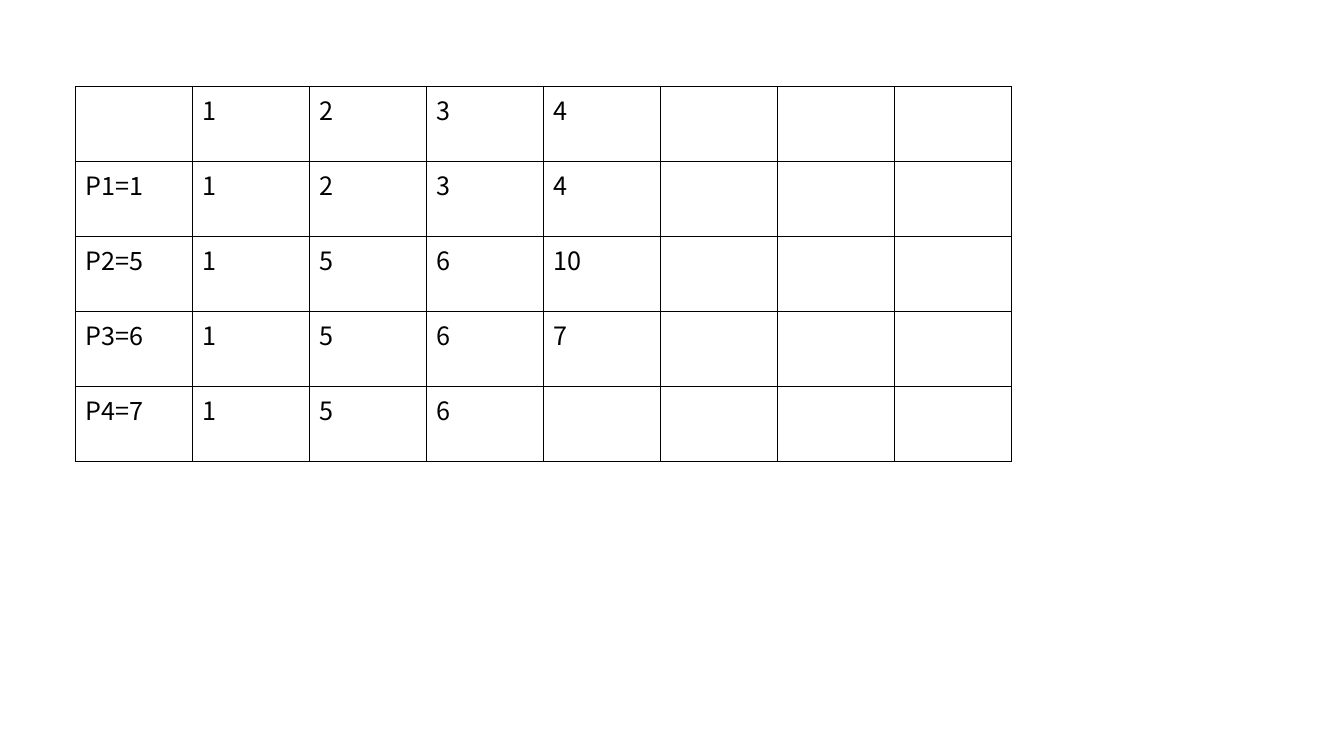
import pptx
import pptx.util
import pptx.dml.color
import pptx.oxml.ns
import lxml.etree

Cm = pptx.util.Cm


def color(value):
    return pptx.dml.color.RGBColor.from_string(value)


class Page:
    font = "Noto Sans CJK KR"
    size = pptx.util.Pt(18)
    ink = "000000"
    border = pptx.util.Pt(1)

    def __init__(self, deck):
        self.slide = deck.slides.add_slide(deck.slide_layouts[6])

    def label(self, cell, text):
        run = cell.text_frame.paragraphs[0].add_run()
        run.text = text
        run.font.name = self.font
        run.font.size = self.size
        run.font.color.rgb = color(self.ink)

    def outline(self, cell):
        qn = pptx.oxml.ns.qn
        properties = cell._tc.get_or_add_tcPr()
        for side in ("a:lnL", "a:lnR", "a:lnT", "a:lnB"):
            edge = lxml.etree.SubElement(properties, qn(side), w=str(int(self.border)))
            fill = lxml.etree.SubElement(edge, qn("a:solidFill"))
            lxml.etree.SubElement(fill, qn("a:srgbClr"), val=self.ink)

    def table(self, rows, columns, left, top, column_width, row_height):
        grid = self.slide.shapes.add_table(
            len(rows), columns, left, top,
            column_width * columns, row_height * len(rows)).table
        grid.first_row = False
        grid.horz_banding = False
        for column in grid.columns:
            column.width = column_width
        for row in grid.rows:
            row.height = row_height
        for cell in grid.iter_cells():
            self.outline(cell)
            cell.fill.background()
        for r, values in enumerate(rows):
            for c, value in enumerate(values):
                if value:
                    self.label(grid.cell(r, c), value)


deck = pptx.Presentation()
deck.slide_width = Cm(33.87)
deck.slide_height = Cm(19.05)

steps = [
    ["", "1", "2", "3", "4"],
    ["P1=1", "1", "2", "3", "4"],
    ["P2=5", "1", "5", "6", "10"],
    ["P3=6", "1", "5", "6", "7"],
    ["P4=7", "1", "5", "6"],
]
page = Page(deck)
page.table(steps, 8, Cm(1.9), Cm(2.18), Cm(2.95), Cm(1.89))

deck.save("out.pptx")
